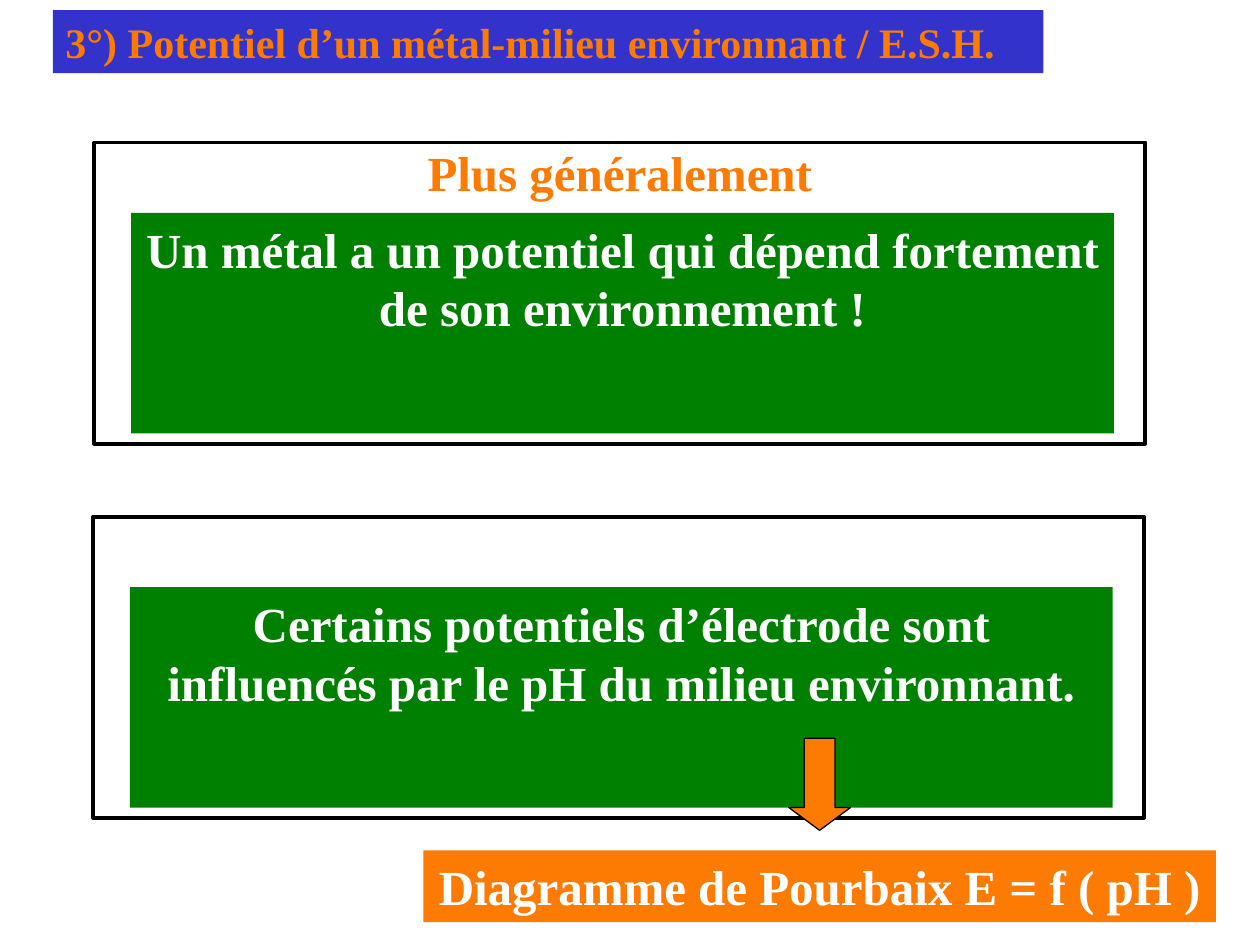
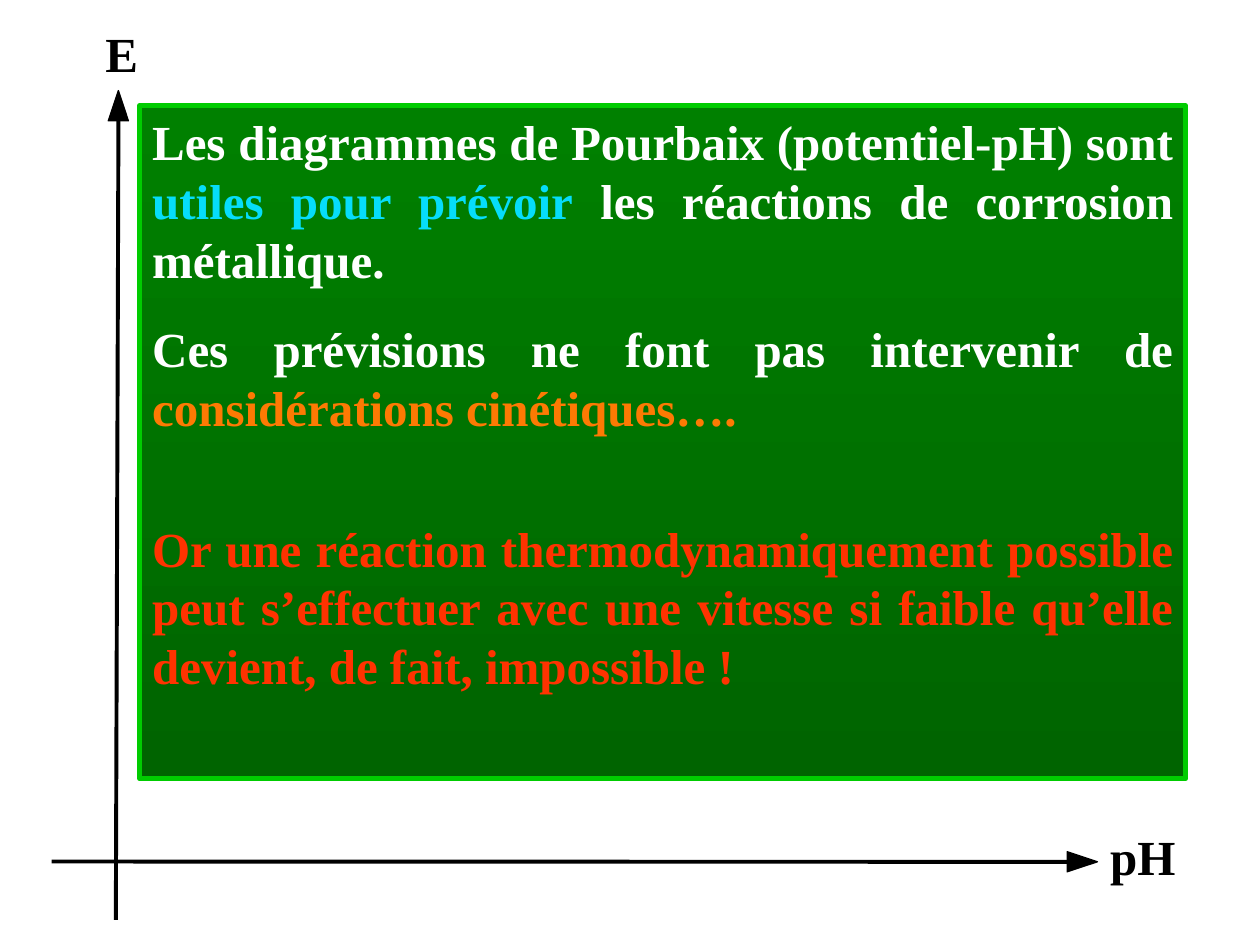
from dataclasses import dataclass
from typing import Optional

from lxml import etree
from pptx import Presentation
from pptx import util as u
from pptx.dml import color as dml
from pptx.enum import shapes, text
from pptx.oxml import ns

Pt = u.Pt


# Theme: every colour and type size
@dataclass(frozen=True)
class Theme:
    font: str = "Times New Roman"
    title_size: float = 24
    body_size: float = 28
    line_factor: float = 1.2
    paragraph_gap: float = 17.5
    thin: float = 0.75
    medium: float = 2.25
    thick: float = 3
    black: str = "000000"
    white: str = "FFFFFF"
    blue: str = "3333CC"
    orange: str = "FD7A03"
    green: str = "008000"
    dark_green: str = "006400"
    bright_green: str = "00CC00"
    cyan: str = "06DDFA"
    red: str = "FF3300"


THEME = Theme()
ALIGN = text.PP_ALIGN
SHAPE = shapes.MSO_SHAPE


@dataclass(frozen=True)
class Area:
    left: float
    top: float
    width: float
    height: float

    def lengths(self) -> tuple:
        return Pt(self.left), Pt(self.top), Pt(self.width), Pt(self.height)


@dataclass(frozen=True)
class Span:
    words: str
    color: str = THEME.white


@dataclass(frozen=True)
class Para:
    spans: tuple
    before: float = 0


@dataclass(frozen=True)
class Panel:
    left: float
    top: float
    message: str


@dataclass(frozen=True)
class Axis:
    start: tuple
    end: tuple
    head: Area
    turn: float
    name: str
    label: Area


PANELS = (
    Panel(54, 81.4, "Un métal a un potentiel qui dépend fortement de son environnement !"),
    Panel(53.3, 295.2, "Certains potentiels d’électrode sont influencés par le pH du milieu environnant."),
)
AXES = (
    Axis((29.5, 492.3), (611.3, 492.5), Area(612.7, 483.8, 11.5, 17.3), 90,
         "pH", Area(614.9, 468.7, 76.3, 41)),
    Axis((66.2, 525.6), (67.7, 65.5), Area(61.9, 51.8, 11.5, 17.3), 0,
         "E", Area(25.9, 10.1, 87.1, 41)),
)
COMMENTARY = (
    Para((Span("Les diagrammes de Pourbaix (potentiel-pH) sont "),
          Span("utiles pour prévoir", THEME.cyan),
          Span(" les réactions de corrosion métallique."))),
    Para((Span("Ces prévisions ne font pas intervenir de "),
          Span("considérations cinétiques….", THEME.orange)), THEME.paragraph_gap),
    Para((Span("Or une réaction thermodynamiquement possible peut s’effectuer avec une "
               "vitesse si faible qu’elle devient, de fait, impossible !", THEME.red),), 46.7),
)


def rgb(value: str) -> dml.RGBColor:
    return dml.RGBColor.from_string(value)


# Text
def write(box, paras: tuple, align, size: float = THEME.body_size) -> None:
    frame = box.text_frame
    frame.word_wrap = True
    frame.auto_size = text.MSO_AUTO_SIZE.NONE
    frame.vertical_anchor = text.MSO_ANCHOR.TOP
    frame.margin_left = frame.margin_right = Pt(7.2)
    frame.margin_top = frame.margin_bottom = Pt(3.6)
    for index, para in enumerate(paras):
        paragraph = frame.add_paragraph() if index else frame.paragraphs[0]
        paragraph.alignment = align
        paragraph.space_before = Pt(para.before)
        paragraph.line_spacing = Pt(size * THEME.line_factor)
        paragraph.font.name = THEME.font
        paragraph.font.size = Pt(size)
        paragraph.font.bold = True
        for span in para.spans:
            run = paragraph.add_run()
            run.text = span.words
            run.font.color.rgb = rgb(span.color)


def one_line(words: str, color: str = THEME.white) -> tuple:
    return (Para((Span(words, color),)),)


def add_label(page, area: Area, words: str, color: str) -> None:
    box = page.shapes.add_textbox(*area.lengths())
    write(box, one_line(words, color), ALIGN.CENTER)


# Shapes and lines
def add_box(page, area: Area, fill: Optional[str] = None, line: Optional[str] = None,
            weight: float = THEME.thin, kind=SHAPE.RECTANGLE):
    box = page.shapes.add_shape(kind, *area.lengths())
    box.shadow.inherit = False
    if fill:
        box.fill.solid()
        box.fill.fore_color.rgb = rgb(fill)
    else:
        box.fill.background()
    if line:
        box.line.color.rgb = rgb(line)
        box.line.width = Pt(weight)
    else:
        box.line.fill.background()
    return box


def add_panel(page, panel: Panel) -> None:
    add_box(page, Area(panel.left, panel.top, 600.5, 172.1), line=THEME.black, weight=THEME.medium)
    box = add_box(page, Area(panel.left + 20.9, panel.top + 40.3, 561.6, 126), THEME.green)
    write(box, one_line(panel.message), ALIGN.CENTER)


def add_axis(page, axis: Axis) -> None:
    ends = [Pt(value) for value in axis.start + axis.end]
    line = page.shapes.add_connector(shapes.MSO_CONNECTOR.STRAIGHT, *ends)
    line.line.color.rgb = rgb(THEME.black)
    line.line.width = Pt(THEME.medium)
    etree.SubElement(line._element.spPr, ns.qn("a:effectLst"))
    head = add_box(page, axis.head, THEME.black, THEME.black, kind=SHAPE.ISOSCELES_TRIANGLE)
    head.rotation = axis.turn


# Slides
def build_potential_page(deck) -> None:
    page = deck.slides.add_slide(deck.slide_layouts[5])
    title = page.shapes.title
    title.left, title.top, title.width, title.height = Area(30.2, 5.8, 566, 36).lengths()
    title.fill.solid()
    title.fill.fore_color.rgb = rgb(THEME.blue)
    write(title, one_line("3°) Potentiel d’un métal-milieu environnant / E.S.H.", THEME.orange),
          ALIGN.LEFT, THEME.title_size)
    for panel in PANELS:
        add_panel(page, panel)
    arrow = add_box(page, Area(450.7, 421.9, 35.3, 52.6), THEME.orange, THEME.black,
                    kind=SHAPE.DOWN_ARROW)
    arrow.adjustments[0], arrow.adjustments[1] = 0.5, 0.37
    result = add_box(page, Area(241.9, 486, 452.9, 41), THEME.orange)
    write(result, one_line("Diagramme de Pourbaix E = f ( pH )"), ALIGN.CENTER)
    add_label(page, Area(141.8, 77.8, 424.8, 41), "Plus généralement", THEME.orange)


def build_diagram_page(deck) -> None:
    page = deck.slides.add_slide(deck.slide_layouts[6])
    for axis in AXES:
        add_axis(page, axis)
    box = add_box(page, Area(79.9, 60.5, 597.6, 384.5), line=THEME.bright_green, weight=THEME.thick)
    box.fill.gradient()
    box.fill.gradient_angle = 270
    for stop, color in zip(box.fill.gradient_stops, (THEME.green, THEME.dark_green)):
        stop.color.rgb = rgb(color)
    write(box, COMMENTARY, ALIGN.JUSTIFY)
    for axis in AXES:
        add_label(page, axis.label, axis.name, THEME.black)


def main() -> None:
    deck = Presentation()
    deck.slide_width, deck.slide_height = Pt(720), Pt(540)
    build_potential_page(deck)
    build_diagram_page(deck)
    deck.save("out.pptx")


if __name__ == "__main__":
    main()
